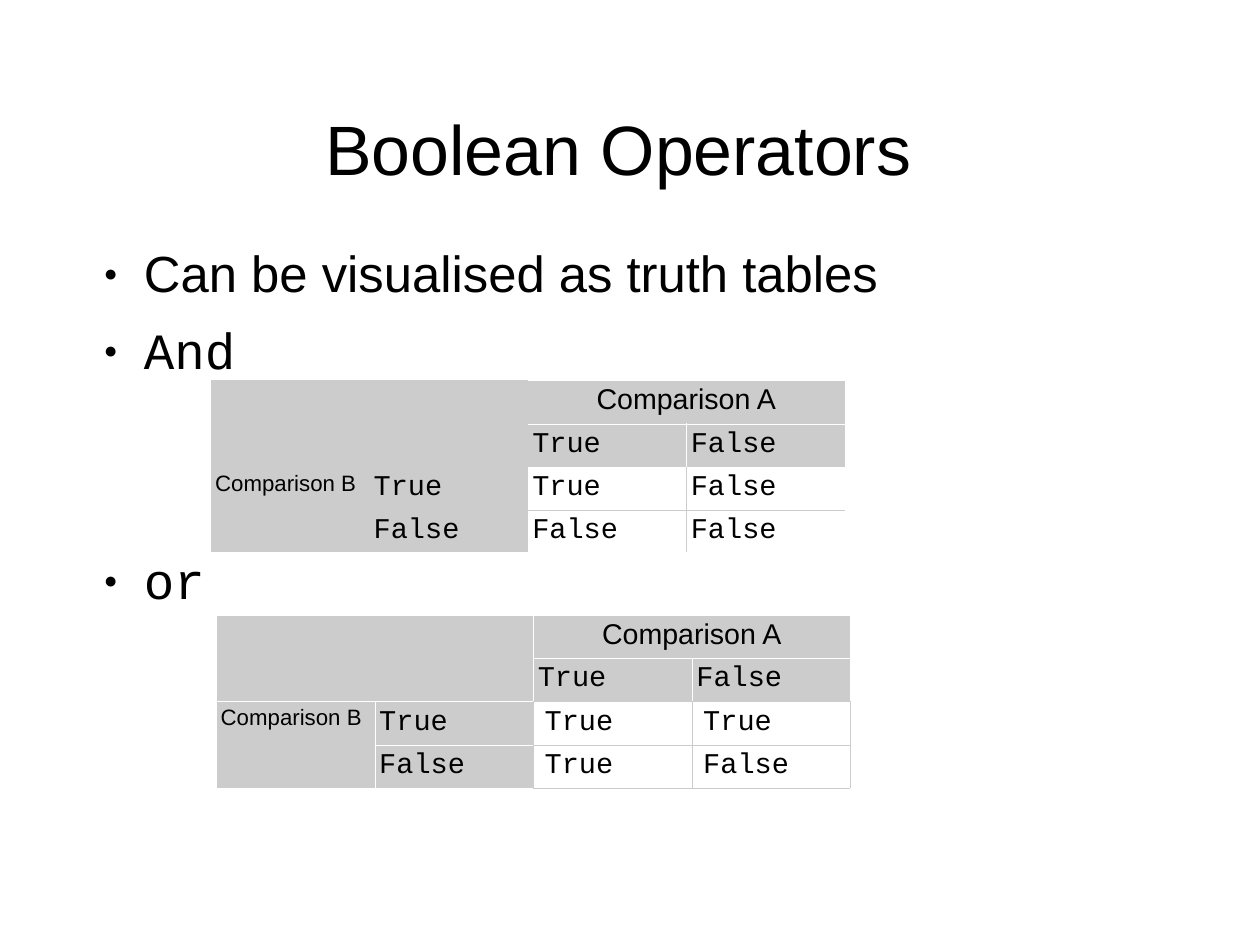
from dataclasses import dataclass

import lxml.etree
import pptx
import pptx.dml.color
import pptx.enum.text
import pptx.oxml.ns
import pptx.util

Pt = pptx.util.Pt
Align = pptx.enum.text.PP_ALIGN
Anchor = pptx.enum.text.MSO_ANCHOR


@dataclass(frozen=True)
class Theme:
    ink: str = "000000"
    paper: str = "FFFFFF"
    grey: str = "CCCCCC"
    sans: str = "Arial"
    mono: str = "Courier New"
    title_size: float = 44
    body_size: float = 32
    cell_size: float = 18
    label_size: float = 14
    hairline: float = 0.06


THEME = Theme()
NO_TABLE_STYLE = "{2D5ABB26-0587-4C30-8999-92F81FD0307C}"
LINE_SPACING = {THEME.sans: 0.93, THEME.mono: 0.89}


def colour(value):
    return pptx.dml.color.RGBColor.from_string(value)


def add_element(parent, tag, **attributes):
    element = lxml.etree.SubElement(parent, pptx.oxml.ns.qn(tag))
    for name, value in attributes.items():
        element.set(name, str(value))
    return element


def write(paragraph, text, font, size, align=Align.LEFT):
    paragraph.alignment = align
    paragraph.line_spacing = LINE_SPACING[font]
    run = paragraph.add_run()
    run.text = text
    run.font.name = font
    run.font.size = Pt(size)
    run.font.color.rgb = colour(THEME.ink)


def set_insets(frame, left, top, right, bottom):
    frame.margin_left, frame.margin_top = Pt(left), Pt(top)
    frame.margin_right, frame.margin_bottom = Pt(right), Pt(bottom)


def add_title(slide, text):
    title = slide.shapes.title
    title.left, title.top = Pt(56.7), Pt(54)
    title.width, title.height = Pt(666), Pt(80.6)
    frame = title.text_frame
    frame.auto_size = pptx.enum.text.MSO_AUTO_SIZE.NONE
    frame.vertical_anchor = Anchor.MIDDLE
    set_insets(frame, 0, 2.9, 0, 0)
    write(frame.paragraphs[0], text, THEME.sans, THEME.title_size, Align.CENTER)


def add_bullet(paragraph):
    properties = paragraph._p.get_or_add_pPr()
    properties.set("marL", str(Pt(34)))
    properties.set("indent", str(-Pt(25.2)))
    bullet_colour = add_element(properties, "a:buClr")
    add_element(bullet_colour, "a:srgbClr", val=THEME.ink)
    add_element(properties, "a:buSzPct", val=45000)
    add_element(properties, "a:buFont", typeface=THEME.sans)
    add_element(properties, "a:buChar", char="●")


def add_bullets(slide, items):
    """Each item is its text, its font and the space before it."""
    box = slide.shapes.add_textbox(Pt(56.7), Pt(153.4), Pt(697), Pt(300))
    frame = box.text_frame
    frame.word_wrap = True
    set_insets(frame, 0, 2.2, 0, 0)
    for index, (text, font, space_before) in enumerate(items):
        paragraph = frame.add_paragraph() if index else frame.paragraphs[0]
        add_bullet(paragraph)
        if space_before:
            paragraph.space_before = Pt(space_before)
        paragraph.space_after = Pt(14.3)
        write(paragraph, text, font, THEME.body_size)


def is_header(row, column):
    return row < 2 or column < 2


def border_colour(row, column, side, framed):
    """Framed tables have every border; others only some inner ones."""
    if framed:
        faces_data = (side == "B" and row == 1 and column >= 2
                      or side == "R" and column == 1 and row >= 2)
        white = is_header(row, column) and not faces_data
        return THEME.paper if white else THEME.grey
    if column < 2:
        return None
    inner = {"L": column == 3, "R": column == 2,
             "T": row in (1, 3), "B": row in (0, 2)}[side]
    if row < 2:
        return THEME.paper if inner or side in "TR" else None
    return THEME.grey if inner else None


def set_borders(cell, row, column, framed):
    properties = cell._tc.get_or_add_tcPr()
    for index, side in enumerate("LRTB"):
        line = lxml.etree.Element(pptx.oxml.ns.qn("a:ln" + side))
        line.set("w", str(Pt(THEME.hairline)))
        value = border_colour(row, column, side, framed)
        if value:
            add_element(add_element(line, "a:solidFill"), "a:srgbClr", val=value)
        else:
            add_element(line, "a:noFill")
        properties.insert(index, line)


def add_truth_table(slide, left, top, row_heights, results, data_inset, framed):
    column_width = 99.9
    frame = slide.shapes.add_table(4, 4, Pt(left), Pt(top), Pt(4 * column_width),
                                   Pt(sum(row_heights)))
    table = frame.table
    table.first_row = table.horz_banding = False
    table._tbl.tblPr.find(pptx.oxml.ns.qn("a:tableStyleId")).text = NO_TABLE_STYLE
    for column in table.columns:
        column.width = Pt(column_width)
    for row, height in zip(table.rows, row_heights):
        row.height = Pt(height)

    # Headings over and beside the results
    table.cell(0, 0).merge(table.cell(1, 1))
    table.cell(0, 2).merge(table.cell(0, 3))
    table.cell(2, 0).merge(table.cell(3, 0))
    texts = [["", "", "Comparison A", ""],
             ["", "", "True", "False"],
             ["Comparison B", "True", *results[0]],
             ["", "False", *results[1]]]

    for row, row_texts in enumerate(texts):
        for column, text in enumerate(row_texts):
            cell = table.cell(row, column)
            header = is_header(row, column)
            side_inset = 2.9 if header else data_inset
            end_inset = 3.6 if text else 0
            set_insets(cell, side_inset, end_inset, side_inset, end_inset)
            cell.vertical_anchor = Anchor.TOP
            cell.fill.solid()
            cell.fill.fore_color.rgb = colour(THEME.grey if header else THEME.paper)
            set_borders(cell, row, column, framed)
            if text:
                font = THEME.sans if text.startswith("Comparison") else THEME.mono
                size = THEME.label_size if column == 0 else THEME.cell_size
                align = Align.CENTER if row == 0 else Align.LEFT
                write(cell.text_frame.paragraphs[0], text, font, size, align)


def main():
    # A slide of 280 by 210 millimetres
    presentation = pptx.Presentation()
    presentation.slide_width, presentation.slide_height = Pt(793.7), Pt(595.28)
    slide = presentation.slides.add_slide(presentation.slide_layouts[5])

    # Title and bullets, with room for a table after "And"
    add_title(slide, "Boolean Operators")
    add_bullets(slide, [("Can be visualised as truth tables", THEME.sans, 0),
                        ("And", THEME.mono, 0),
                        ("or", THEME.mono, 96.5)])

    # Truth tables for "or" and "And"
    add_truth_table(slide, 136.1, 387.2, [26.2, 27.3, 27.3, 27.3],
                    [("True", "True"), ("True", "False")], 7.2, framed=True)
    add_truth_table(slide, 132.6, 239.5, [27.2, 27.2, 27.2, 26.5],
                    [("True", "False"), ("False", "False")], 2.9, framed=False)

    presentation.save("out.pptx")


if __name__ == "__main__":
    main()
